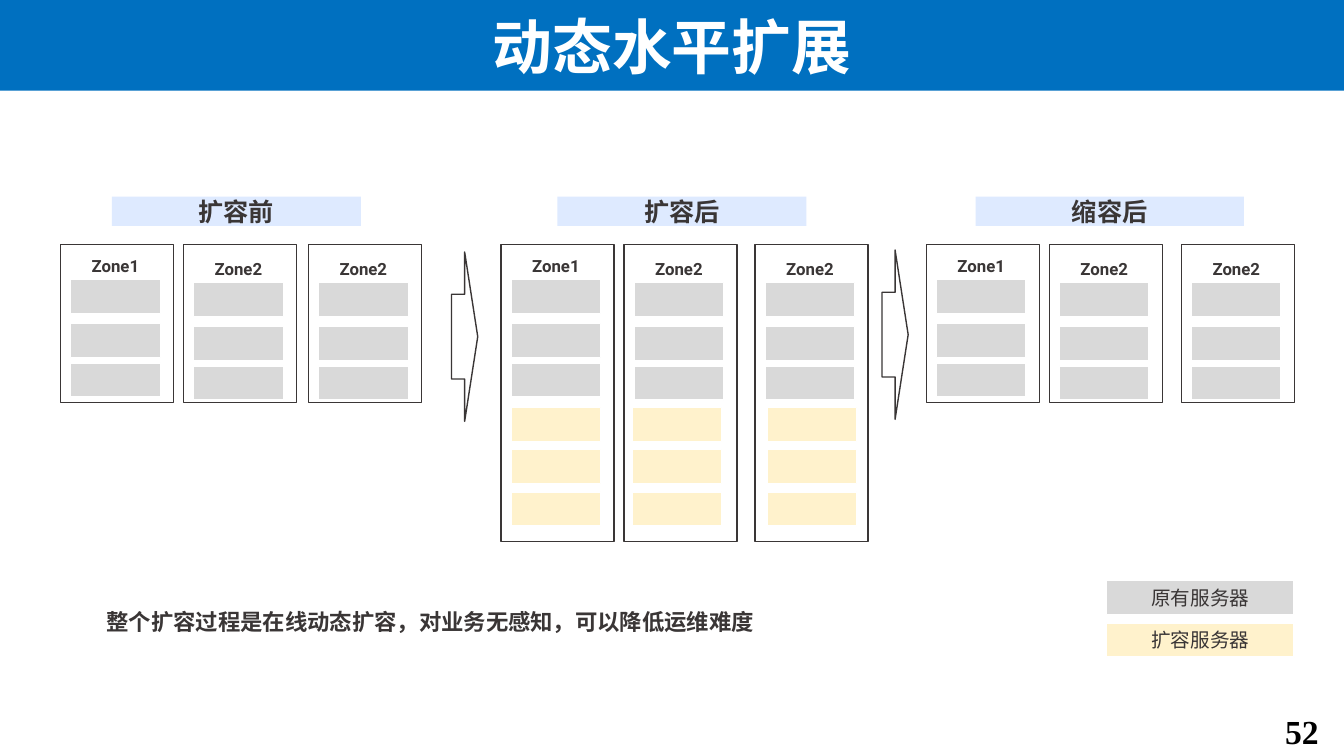
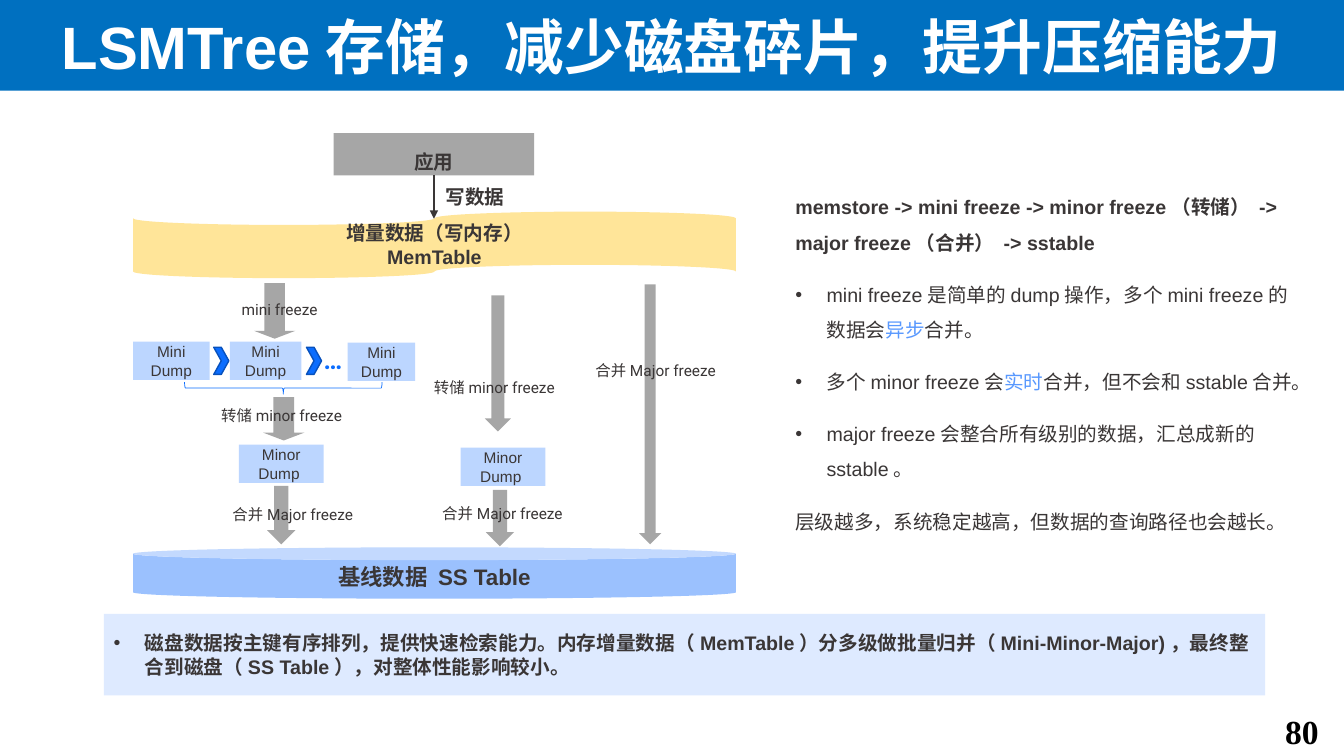
"""Build two slides on scaling out and LSMTree storage."""
import pptx
import pptx.util
import pptx.dml.color
import pptx.enum.shapes
import pptx.enum.text
import pptx.oxml.ns
import lxml.etree

RGB = pptx.dml.color.RGBColor
Pt = pptx.util.Pt
Form = pptx.enum.shapes.MSO_SHAPE
Side = pptx.enum.text.PP_ALIGN
Hold = pptx.enum.text.MSO_ANCHOR
qn = pptx.oxml.ns.qn

BAND = RGB(0x00, 0x70, 0xC0)
WHITE = RGB(0xFF, 0xFF, 0xFF)
BLACK = RGB(0x00, 0x00, 0x00)
INK = RGB(0x3A, 0x36, 0x36)
GREY = RGB(0xD9, 0xD9, 0xD9)
STEEL = RGB(0xA6, 0xA6, 0xA6)
CREAM = RGB(0xFF, 0xF2, 0xCC)
GOLD = RGB(0xFF, 0xE5, 0x99)
PALE = RGB(0xDE, 0xEA, 0xFF)
LIGHT = RGB(0xBC, 0xD6, 0xFF)
SKY = RGB(0x9B, 0xC1, 0xFE)
BLUE = RGB(0x0B, 0x6D, 0xFE)
NAVY = RGB(0x08, 0x51, 0xBC)
MARK = RGB(0x58, 0x98, 0xFE)


class Deck:
    """Hold the style and the current slide, on a grid of ten cells an inch."""

    cell = pptx.util.Inches(0.1)
    cols, rows = 133.33, 75

    def __init__(self):
        self.show = pptx.Presentation()
        self.show.slide_width = self.grid(self.cols)
        self.show.slide_height = self.grid(self.rows)

    def grid(self, size):
        return round(size * self.cell)

    def place(self, item, spot):
        item.left, item.top, item.width, item.height = map(self.grid, spot)

    def page(self, title, number, layout):
        self.slide = self.show.slides.add_slide(self.show.slide_layouts[layout])
        head = self.slide.shapes.title
        self.place(head, (0, 0, self.cols, 9))
        head.fill.solid()
        head.fill.fore_color.rgb = BAND
        self.label(head, [title], 42.7, color=WHITE, bold=True)
        self.text((123.4, 70, 8.4, 5), str(number), 24, "Times New Roman",
                  color=BLACK, bold=True, align=Side.RIGHT, lead=1)

    def label(self, item, lines, size, font="Arial", color=INK, bold=False,
              align=Side.CENTER, anchor=Hold.MIDDLE, lead=1, gap=0, dots=()):
        frame = item.text_frame
        frame.word_wrap = True
        frame.auto_size = pptx.enum.text.MSO_AUTO_SIZE.NONE
        frame.vertical_anchor = anchor
        for at, line in enumerate(lines):
            para = frame.add_paragraph() if at else frame.paragraphs[0]
            self.bullet(para, at in dots)
            para.alignment = align
            para.line_spacing = lead
            para.space_before = Pt(gap if at else 0)
            para.space_after = Pt(gap)
            for turn, part in enumerate(line.split("|")):
                run = para.add_run()
                run.text = part
                run.font.size = Pt(size)
                run.font.name = font
                run.font.bold = bold is True or (bold == "first" and at == 0)
                run.font.color.rgb = MARK if turn % 2 else color

    def bullet(self, para, dot):
        props = para._p.get_or_add_pPr()
        dent = pptx.util.Inches(0.31) if dot else 0
        props.set("marL", str(int(dent)))
        props.set("indent", str(-int(dent)))
        if dot:
            lxml.etree.SubElement(props, qn("a:buFont")).set("typeface", "Arial")
            lxml.etree.SubElement(props, qn("a:buChar")).set("char", "•")
        else:
            lxml.etree.SubElement(props, qn("a:buNone"))

    def shape(self, spot, fill=None, line=None, form=Form.RECTANGLE, width=1,
              lines=(), size=14, **style):
        item = self.slide.shapes.add_shape(form, *map(self.grid, spot))
        item.shadow.inherit = False
        if fill is None:
            item.fill.background()
        else:
            item.fill.solid()
            item.fill.fore_color.rgb = fill
        if line is None:
            item.line.fill.background()
        else:
            item.line.color.rgb = line
            item.line.width = Pt(width)
        if lines:
            self.label(item, lines, size, **style)
        return item

    def text(self, spot, words, size, font="Roboto", anchor=Hold.TOP,
             lead=1.5, **style):
        item = self.slide.shapes.add_textbox(*map(self.grid, spot))
        self.label(item, [words], size, font, anchor=anchor, lead=lead, **style)
        return item

    def list(self, spot, lines, size, **style):
        item = self.slide.placeholders[1]
        self.place(item, spot)
        self.label(item, lines, size, align=Side.LEFT, anchor=Hold.TOP, **style)

    def arrow(self, start, end):
        straight = pptx.enum.shapes.MSO_CONNECTOR.STRAIGHT
        stop = [self.grid(size) for size in end]
        item = self.slide.shapes.add_connector(straight, *stop, *stop)
        item.begin_connect(start, 2)
        item.line.color.rgb = INK
        item.line.width = Pt(1.5)
        edge = item.line._get_or_add_ln()
        lxml.etree.SubElement(edge, qn("a:tailEnd")).set("type", "triangle")
        lxml.etree.SubElement(item._element.spPr, qn("a:effectLst"))

    def down(self, spot, head=None):
        item = self.shape(spot, STEEL, form=Form.DOWN_ARROW)
        if head:
            item.adjustments[1] = head

    def server(self, left, top, fill=GREY):
        self.shape((left, top, 8.9, 3.4), fill, WHITE)

    def zone(self, left, first, height):
        drop = 0 if first else 0.3
        for step in (0, 4.4, 8.3):
            self.server(left + 1, 27.7 + drop + step)
        self.shape((left, 24.25, 11.2, height), line=INK)
        self.text((left + 1, 24 + drop, 8.9, 3.8), "Zone1" if first else "Zone2",
                  12, bold=True, anchor=Hold.MIDDLE)


def scale(deck):
    """Draw the zones before and after scaling."""
    deck.page("动态水平扩展", 52, 5)
    groups = [
        ("扩容前", 11.1, 24.7, 15.7, (6, 18.2, 30.6)),
        ("扩容后", 55.3, 24.7, 29.5, (49.7, 61.9, 74.9)),
        ("缩容后", 96.8, 26.6, 15.7, (91.9, 104.1, 117.2)),
    ]
    for name, left, width, height, zones in groups:
        for at, spot in enumerate(zones):
            deck.zone(spot, at == 0, height)
        deck.shape((left, 19.5, width, 2.9), PALE, lines=[name], size=18,
                   font="Roboto", bold=True)
    for left in (50.7, 62.7, 76.1):
        for step in range(3):
            deck.server(left, 40.4 + 4.2 * step, CREAM)
    deck.text((9.6, 59.3, 72.8, 4.7), "整个扩容过程是在线动态扩容，对业务无感知，可以降低运维难度",
              16, bold=True, align=Side.JUSTIFY, anchor=Hold.MIDDLE, lead=1)
    for top, fill, name in ((57.6, GREY, "原有服务器"), (61.8, CREAM, "扩容服务器")):
        deck.shape((109.8, top, 18.6, 3.4), fill, WHITE, lines=[name])
    for left, top in ((44.8, 25), (87.5, 24.8)):
        deck.shape((left, top, 2.6, 16.8), line=INK, form=Form.RIGHT_ARROW)


def store(deck):
    """Draw the path from memory to disk."""
    deck.page("LSMTree存储，减少磁盘碎片，提升压缩能力", 80, 1)
    deck.shape((13.2, 21, 59.8, 6.6), GOLD, form=Form.FLOWCHART_PUNCHED_TAPE,
               lines=["增量数据（写内存）", "MemTable"], bold=True)
    deck.shape((13.2, 54.3, 59.8, 5.1), SKY, form=Form.CAN,
               lines=["基线数据 SS Table"], size=16, bold=True)
    app = deck.shape((33.1, 13.2, 19.9, 4.2), STEEL, lines=["应用"],
                     font="Roboto", bold=True, anchor=Hold.TOP, lead=1.5)
    deck.text((43.2, 16.7, 10.1, 4.2), "写数据", 14, bold=True, align=Side.LEFT)
    deck.arrow(app, (43.05, 21.7))

    for spot in ((25.2, 28.1, 4.1, 5.5), (26.1, 39.4, 4.1, 4.3)):
        deck.down(spot, 0.19)
    for spot in ((63.4, 28.2, 2.2, 25.8), (26.5, 48.2, 2.8, 5.8),
                 (48.1, 29.3, 2.6, 13.5), (48.2, 48.6, 2.8, 5.6)):
        deck.down(spot)

    dumps = [("Mini Dump", 13.2, 33.9, 7.6), ("Mini Dump", 22.8, 33.9, 7.1),
             ("Mini Dump", 34.5, 34, 6.7), ("Minor Dump ", 23.7, 44.1, 8.4),
             ("Minor Dump ", 45.7, 44.4, 8.4)]
    for name, left, top, width in dumps:
        deck.shape((left, top, width, 3.8), LIGHT, lines=[name], size=11)
    for left in (21.2, 30.4):
        deck.shape((left, 34.45, 1.5, 2.7), BLUE, NAVY, Form.CHEVRON)
    more = deck.text((32.1, 32.7, 4.8, 4.1), "…", 18, color=BLUE, bold=True,
                     align=Side.LEFT).text_frame
    more.margin_left = more.margin_top = more.margin_right = more.margin_bottom = 0
    brace = deck.shape((27.5, 28.7, 1.2, 19.6), line=BLUE,
                       form=Form.RIGHT_BRACE, width=0.5)
    brace.rotation = 90

    minor, major = "转储minor freeze", "合并Major freeze"
    notes = [("mini freeze", 20.6, 28.4, 14.3), (minor, 20.8, 38.9, 14.3),
             (minor, 41.9, 36.1, 14.3), (major, 57.1, 34.4, 15.9),
             (major, 41.9, 48.6, 15.9), (major, 21.1, 48.7, 15.9)]
    for name, left, top, width in notes:
        deck.text((left, top, width, 3.5), name, 11)

    deck.shape((10.3, 60.9, 115.2, 8.1), PALE, bold=True, align=Side.LEFT, dots=(0,), lines=[
        "磁盘数据按主键有序排列，提供快速检索能力。内存增量数据（MemTable）分多级做批量归并"
        "（Mini-Minor-Major)，最终整合到磁盘（SS Table），对整体性能影响较小。"])
    deck.list((77.9, 17.7, 51.4, 35.7), [
        "memstore -> mini freeze -> minor freeze（转储） -> major freeze（合并） -> sstable",
        "mini freeze是简单的dump操作，多个mini freeze的数据会|异步|合并。",
        "多个minor freeze会|实时|合并，但不会和sstable合并。",
        "major freeze会整合所有级别的数据，汇总成新的sstable。",
        "层级越多，系统稳定越高，但数据的查询路径也会越长。",
    ], 14, bold="first", lead=1.5, gap=6, dots=(1, 2, 3))


def main():
    """Build and save both slides."""
    deck = Deck()
    scale(deck)
    store(deck)
    deck.show.save("out.pptx")


if __name__ == "__main__":
    main()
